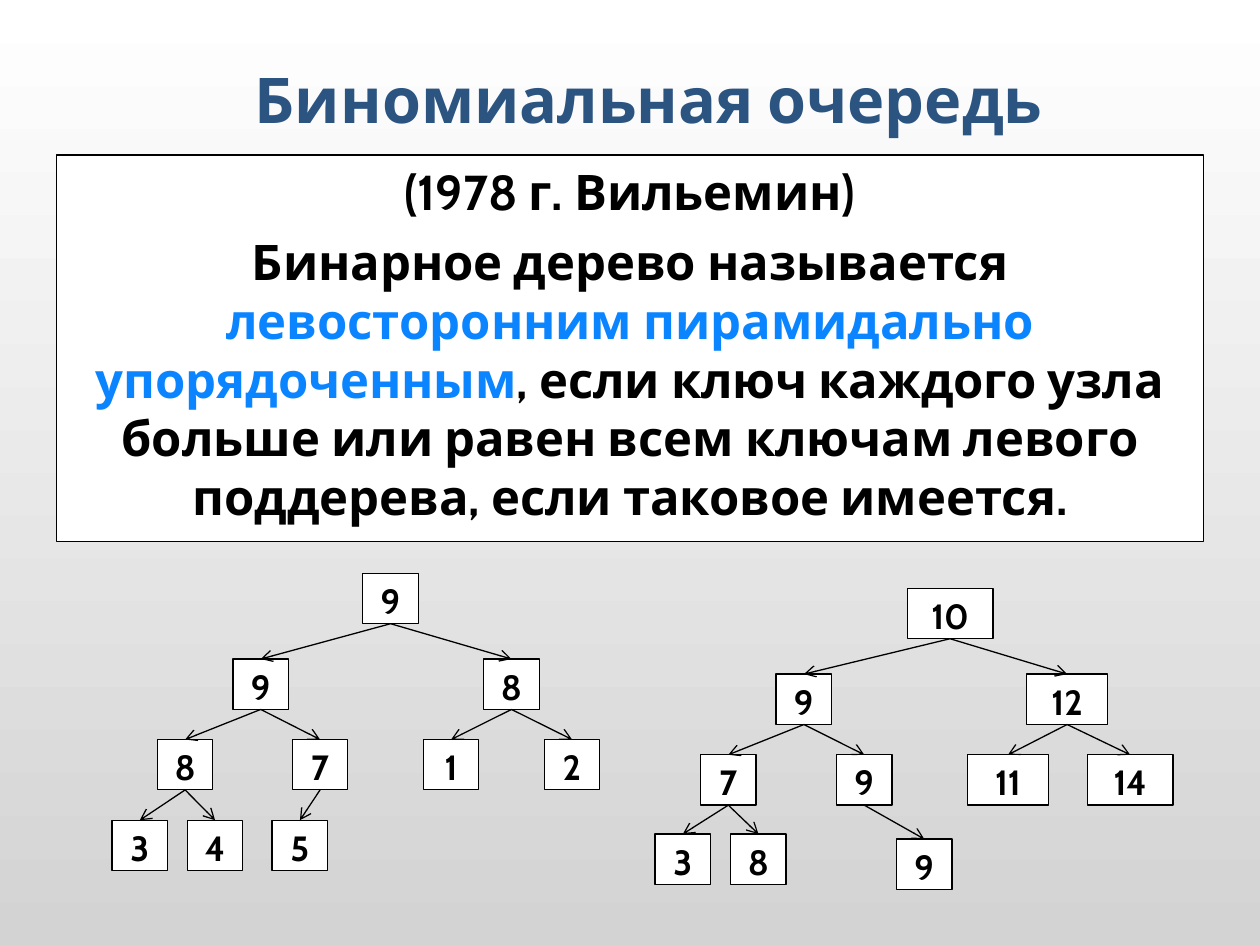
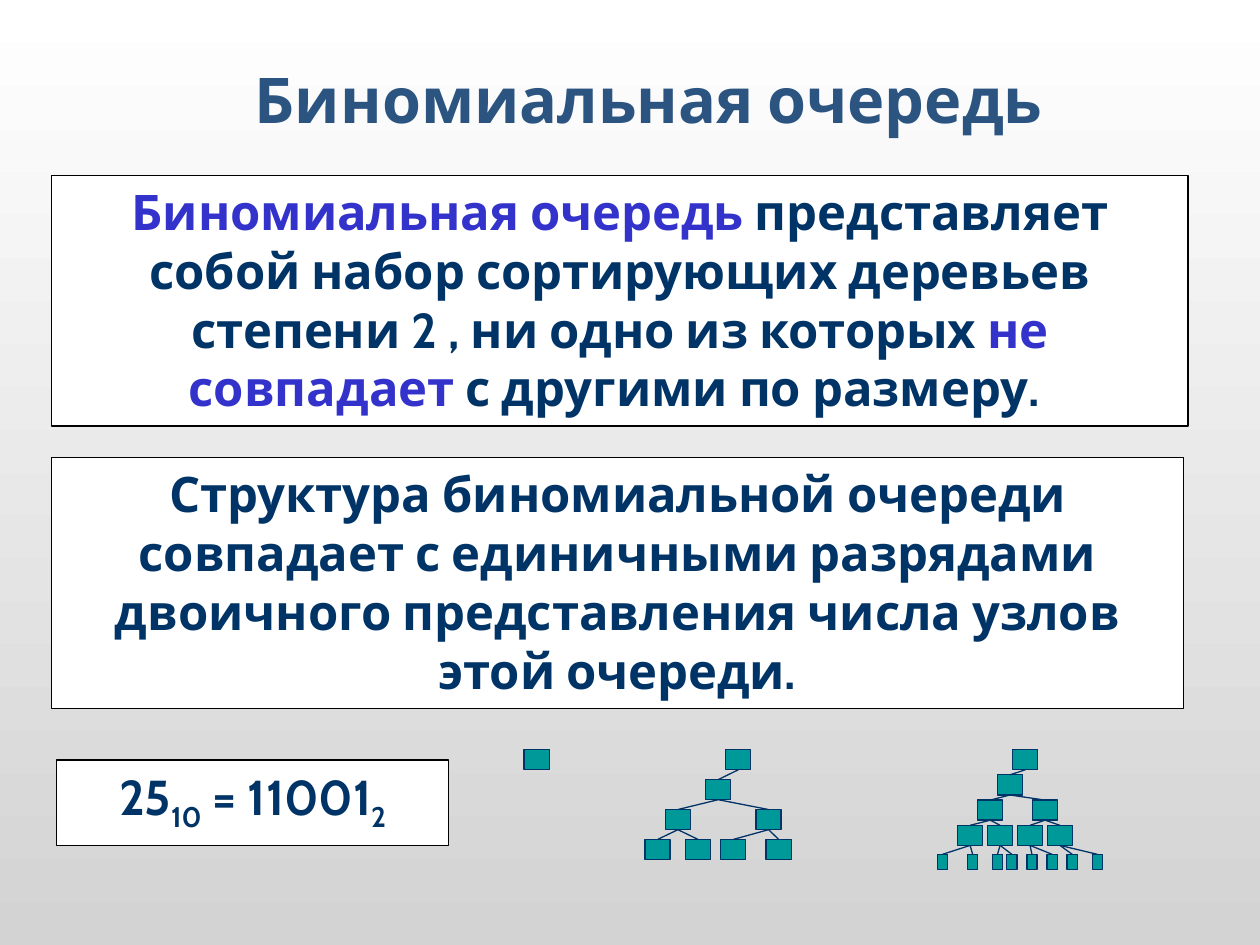
from dataclasses import dataclass

import pptx
import pptx.dml.color
import pptx.enum.shapes
import pptx.enum.text
import pptx.oxml.xmlchemy
import pptx.util

Pt = pptx.util.Pt


@dataclass(frozen=True)
class Theme:
    font: str = "Cabin"
    title_size: float = 36
    body_size: float = 28
    key_size: float = 20
    line_width: float = 0.75
    paragraph_gap: float = 6.5
    subscript: str = "-25000"
    title: str = "2B5481"
    black: str = "000000"
    white: str = "FFFFFF"
    bottom_grey: str = "D3D3D3"
    bright_blue: str = "0A85FF"
    violet: str = "3333CC"
    navy: str = "003366"
    teal: str = "009999"


@dataclass(frozen=True)
class Node:
    centre: float
    children: tuple = ()
    key: str = ""
    width: float = 0
    drop: float = 0


@dataclass(frozen=True)
class TreeStyle:
    tops: tuple
    sizes: tuple
    fill: str
    line: str
    arrows: bool


THEME = Theme()
SLIDE_SIZE = (720, 540)
TITLE = "Биномиальная очередь"
TITLE_AREA = (46.8, 17.3, 648, 77.8)

DEFINITION = [
    [("(1978 г. Вильемин)", THEME.black)],
    [
        ("Бинарное дерево называется ", THEME.black),
        ("левосторонним пирамидально упорядоченным", THEME.bright_blue),
        (", если ключ каждого узла больше или равен всем ключам левого "
         "поддерева, если таковое имеется.", THEME.black),
    ],
]
QUEUE = [[
    ("Биномиальная очередь ", THEME.violet),
    ("представляет собой набор сортирующих деревьев степени 2 , "
     "ни одно из которых ", THEME.navy),
    ("не совпадает", THEME.violet),
    (" с другими по размеру. ", THEME.navy),
]]
STRUCTURE = [[
    ("Структура биномиальной очереди совпадает с единичными разрядами "
     "двоичного представления числа узлов этой очереди.", THEME.navy),
]]
BINARY_FORM = [[
    ("25", THEME.navy),
    ("10", THEME.navy, THEME.subscript),
    (" = 11001", THEME.navy),
    ("2", THEME.navy, THEME.subscript),
]]


def keyed(key, centre, *children, width=0, drop=0):
    return Node(centre, children, key, width, drop)


def plain(centre, *children):
    return Node(centre, children)


NINE_TREE = keyed(
    "9", 223.2,
    keyed("9", 149,
          keyed("8", 105.8, keyed("3", 79.9), keyed("4", 122.9)),
          keyed("7", 182.9, keyed("5", 171.4))),
    keyed("8", 292.3, keyed("1", 257.8), keyed("2", 326.9)))
TEN_TREE = keyed(
    "10", 542.9,
    keyed("9", 459.4,
          keyed("7", 416.2, keyed("3", 390.2), keyed("8", 433.4)),
          keyed("9", 493.9, keyed("9", 528.2, drop=2.9))),
    keyed("12", 609.8,
          keyed("11", 576, width=46.1),
          keyed("14", 645.8, width=49),
          width=46.1),
    width=49)

SINGLE_TREE = plain(306.7)
EIGHT_TREE = plain(
    421.9,
    plain(410.4,
          plain(387.4, plain(375.8), plain(398.9)),
          plain(439.2, plain(419), plain(445))))
SIXTEEN_TREE = plain(
    585.9,
    plain(577.1,
          plain(565.9,
                plain(554.4, plain(538.6), plain(555.8)),
                plain(571.5, plain(570), plain(578.2))),
          plain(597.2,
                plain(588.6, plain(589.7), plain(601.2)),
                plain(605.7, plain(612.7), plain(627.1)))))

KEY_SIZE = (31.7, 28.8)
UNIT_SIZE = (14.4, 11.5)
LEAF_SIZE = (5.8, 8.6)
UNIT_TOP = 428.4


def key_style(*tops):
    return TreeStyle(tops, (KEY_SIZE,) * 4, THEME.white, THEME.black, True)


def unit_style(step, *extra_tops):
    tops = tuple(UNIT_TOP + step * level for level in range(4)) + extra_tops
    return TreeStyle(tops, (UNIT_SIZE,) * 4 + (LEAF_SIZE,),
                     THEME.teal, THEME.navy, False)


SLIDES = [
    {
        "panels": [((32.4, 88.6, 655.2, 221), DEFINITION)],
        "trees": [
            (NINE_TREE, key_style(327.6, 376.6, 422.6, 468.7)),
            (TEN_TREE, key_style(336.2, 385.2, 431.3, 476.6)),
        ],
    },
    {
        "panels": [
            ((29.5, 100.1, 649.4, 143.3), QUEUE),
            ((29.5, 261.4, 646.6, 143.3), STRUCTURE),
            ((32.4, 434.2, 223.9, 49), BINARY_FORM),
        ],
        "trees": [
            (SINGLE_TREE, unit_style(17.1)),
            (EIGHT_TREE, unit_style(17.1)),
            (SIXTEEN_TREE, unit_style(14.4, 488.2)),
        ],
    },
]


def rgb(colour):
    return pptx.dml.color.RGBColor.from_string(colour)


def points(lengths):
    return [Pt(length) for length in lengths]


def write(frame, paragraphs, size):
    frame.word_wrap = True
    for index, runs in enumerate(paragraphs):
        paragraph = frame.add_paragraph() if index else frame.paragraphs[0]
        paragraph.alignment = pptx.enum.text.PP_ALIGN.CENTER
        if index:
            paragraph.space_before = Pt(THEME.paragraph_gap)
        for words, colour, *baseline in runs:
            run = paragraph.add_run()
            run.text = words
            run.font.name = THEME.font
            run.font.size = Pt(size)
            run.font.bold = True
            run.font.color.rgb = rgb(colour)
            if baseline:
                run.font._element.set("baseline", baseline[0])


def add_box(slide, area, fill, line):
    box = slide.shapes.add_shape(
        pptx.enum.shapes.MSO_SHAPE.RECTANGLE, *points(area))
    box.shadow.inherit = False
    box.fill.solid()
    box.fill.fore_color.rgb = rgb(fill)
    box.line.color.rgb = rgb(line)
    box.line.width = Pt(THEME.line_width)
    box.text_frame.vertical_anchor = pptx.enum.text.MSO_ANCHOR.TOP
    return box


def add_branch(slide, parent, child, style):
    branch = slide.shapes.add_connector(
        pptx.enum.shapes.MSO_CONNECTOR.STRAIGHT, 0, 0, 0, 0)
    branch.begin_connect(parent, 2)
    branch.end_connect(child, 0)
    branch.line.color.rgb = rgb(style.line)
    branch.line.width = Pt(THEME.line_width)
    if style.arrows:
        head = pptx.oxml.xmlchemy.OxmlElement("a:tailEnd")
        head.set("type", "arrow")
        branch.line._get_or_add_ln().append(head)
    branch._element.spPr.append(pptx.oxml.xmlchemy.OxmlElement("a:effectLst"))


def draw_tree(slide, node, style, level=0):
    width, height = style.sizes[level]
    width = node.width or width
    area = (node.centre - width / 2, style.tops[level] + node.drop, width, height)
    box = add_box(slide, area, style.fill, style.line)
    if node.key:
        write(box.text_frame, [[(node.key, THEME.black)]], THEME.key_size)
    for child in node.children:
        child_box = draw_tree(slide, child, style, level + 1)
        add_branch(slide, box, child_box, style)
    return box


def add_base(deck):
    slide = deck.slides.add_slide(deck.slide_layouts[6])
    backdrop = slide.background.fill
    backdrop.gradient()
    backdrop.gradient_angle = 270
    for stop, colour in zip(backdrop.gradient_stops,
                            (THEME.white, THEME.bottom_grey)):
        stop.color.rgb = rgb(colour)
    title = slide.shapes.add_textbox(*points(TITLE_AREA)).text_frame
    title.vertical_anchor = pptx.enum.text.MSO_ANCHOR.MIDDLE
    write(title, [[(TITLE, THEME.title)]], THEME.title_size)
    return slide


def main():
    deck = pptx.Presentation()
    deck.slide_width, deck.slide_height = points(SLIDE_SIZE)
    for content in SLIDES:
        slide = add_base(deck)
        for area, paragraphs in content["panels"]:
            panel = add_box(slide, area, THEME.white, THEME.black)
            write(panel.text_frame, paragraphs, THEME.body_size)
        for root, style in content["trees"]:
            draw_tree(slide, root, style)
    deck.save("out.pptx")


if __name__ == "__main__":
    main()
